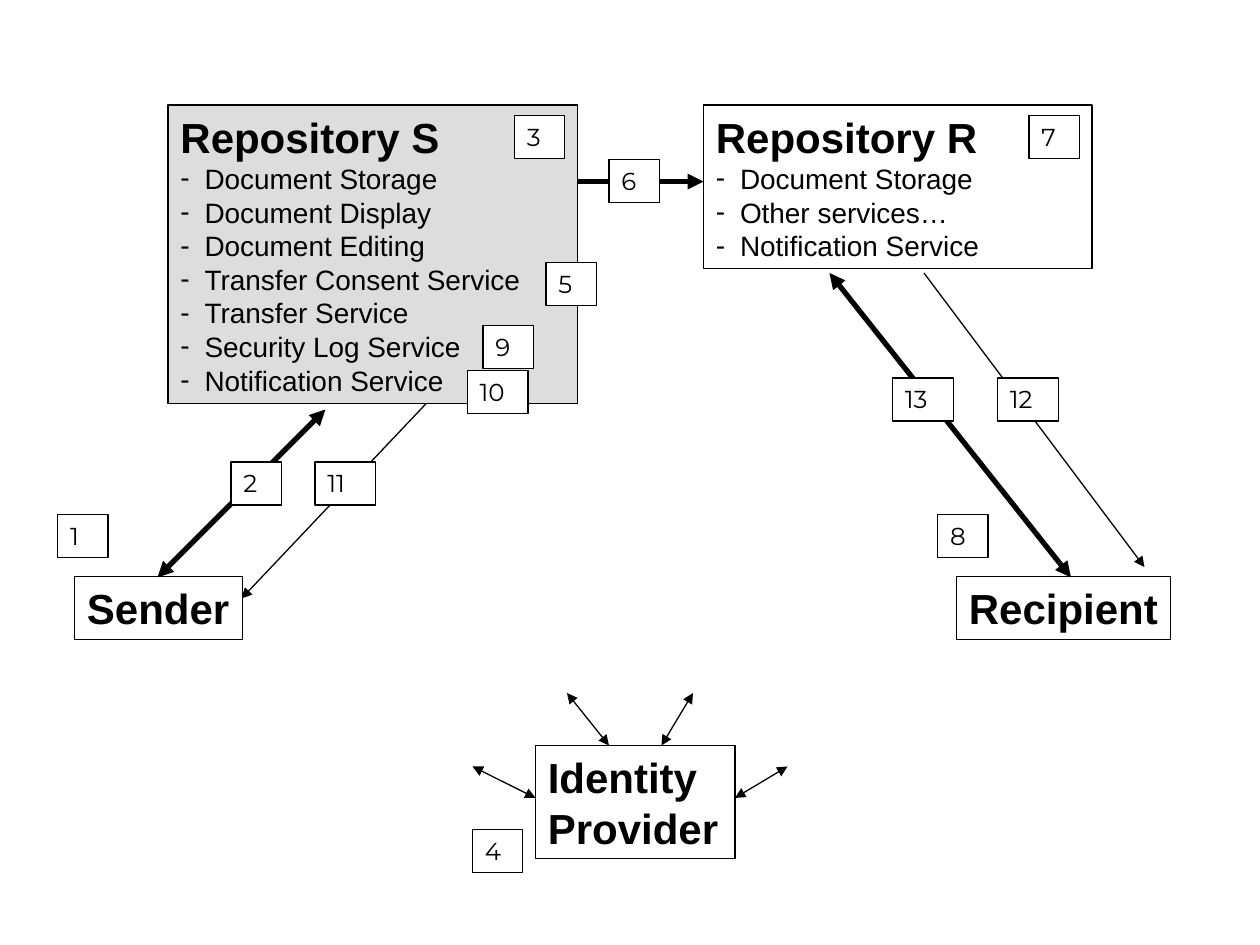
from typing import Any, NamedTuple

from lxml.etree import SubElement
from pptx import Presentation
from pptx.dml.color import RGBColor
from pptx.enum.shapes import MSO_CONNECTOR as Connector, MSO_SHAPE as Shape
from pptx.enum.text import MSO_ANCHOR as Anchor, MSO_AUTO_SIZE as AutoSize, PP_ALIGN as Align
from pptx.oxml.ns import qn
from pptx.util import Emu, Pt

PX = 7620
BLACK = RGBColor(0x00, 0x00, 0x00)
WHITE = RGBColor(0xFF, 0xFF, 0xFF)
GRAY = RGBColor(0xDD, 0xDD, 0xDD)

THIN, THICK = Pt(0.75), Pt(3)
INDENT = 23
BADGE_HEIGHT = 41
HEADING = {"name": "Arial", "size": Pt(24), "bold": True}
ITEM = {"name": "Arial", "size": Pt(16), "bold": False}
NUMBER = {"name": "Montserrat", "size": Pt(14), "bold": False}


class Box(NamedTuple):
    x: int
    y: int
    w: int
    h: int
    heading: str
    items: tuple[str, ...] = ()
    fill: RGBColor = WHITE
    wrap: bool = True
    font: dict[str, Any] = HEADING


class Link(NamedTuple):
    x1: int
    y1: int
    x2: int
    y2: int
    width: int = THIN
    two_way: bool = True


SENDER_NOTICE = Link(410, 380, 230, 570, two_way=False)

BOXES = [
    Box(911, 549, 204, 60, "Recipient", wrap=False),
    Box(71, 549, 160, 60, "Sender", wrap=False),
    Box(510, 710, 190, 108, "Identity Provider"),
    Box(160, 100, 390, 284, "Repository S",
        ("Document Storage", "Document Display", "Document Editing",
         "Transfer Consent Service", "Transfer Service",
         "Security Log Service", "Notification Service"), GRAY),
    Box(670, 100, 370, 156, "Repository R",
        ("Document Storage", "Other services…", "Notification Service")),
]

LINKS = [
    Link(150, 550, 310, 390, THICK),
    Link(1020, 550, 790, 260, THICK),
    Link(510, 760, 450, 730),
    Link(580, 710, 540, 660),
    Link(630, 710, 660, 660),
    Link(750, 730, 700, 760),
    Link(550, 173, 670, 173, THICK, False),
    Link(880, 260, 1090, 540, two_way=False),
]

BADGES = [
    (55, 490), (220, 440), (490, 110), (450, 790), (520, 250),
    (580, 152), (980, 110), (893, 490), (460, 310), (445, 353),
    (300, 440), (950, 360), (850, 360),
]


def px(n: int) -> Emu:
    return Emu(n * PX)


def set_attrs(target: Any, values: dict[str, Any]) -> None:
    for name, value in values.items():
        setattr(target, name, value)


def add_text(p: Any, text: str, font: dict[str, Any]) -> None:
    p.alignment = Align.LEFT
    r = p.add_run()
    r.text = text
    set_attrs(r.font, font)
    r.font.color.rgb = BLACK


def indent(p: Any) -> Any:
    pPr = p._p.get_or_add_pPr()
    pPr.set("marL", str(px(INDENT)))
    pPr.set("indent", str(-px(INDENT)))
    return pPr


def add_dash(p: Any) -> None:
    pPr = indent(p)
    color = SubElement(pPr, qn("a:buClr"))
    SubElement(color, qn("a:srgbClr"), val=str(BLACK))
    SubElement(pPr, qn("a:buFont"), typeface="Arial")
    SubElement(pPr, qn("a:buChar"), char="-")


def draw_box(slide: Any, box: Box) -> None:
    s = slide.shapes.add_shape(Shape.RECTANGLE, px(box.x), px(box.y), px(box.w), px(box.h))
    s.shadow.inherit = False
    s.fill.solid()
    s.fill.fore_color.rgb = box.fill
    s.line.color.rgb = BLACK
    s.line.width = THIN
    tf = s.text_frame
    set_attrs(tf, {
        "margin_left": px(12), "margin_right": px(12),
        "margin_top": px(6), "margin_bottom": px(6),
        "vertical_anchor": Anchor.TOP,
        "word_wrap": box.wrap,
        "auto_size": AutoSize.SHAPE_TO_FIT_TEXT,
    })
    p = tf.paragraphs[0]
    if box.items:
        indent(p)
    add_text(p, box.heading, box.font)
    for item in box.items:
        p = tf.add_paragraph()
        add_dash(p)
        add_text(p, item, ITEM)


def draw_link(slide: Any, link: Link) -> None:
    s = slide.shapes.add_connector(
        Connector.STRAIGHT, px(link.x1), px(link.y1), px(link.x2), px(link.y2))
    s.line.color.rgb = BLACK
    s.line.width = link.width
    ln = s.line._get_or_add_ln()
    for end in ("a:headEnd", "a:tailEnd") if link.two_way else ("a:tailEnd",):
        SubElement(ln, qn(end), type="triangle")
    SubElement(s._element.spPr, qn("a:effectLst"))


def main() -> None:
    prs = Presentation()
    prs.slide_width, prs.slide_height = px(1200), px(900)
    slide = prs.slides.add_slide(prs.slide_layouts[6])
    draw_link(slide, SENDER_NOTICE)
    for box in BOXES:
        draw_box(slide, box)
    for link in LINKS:
        draw_link(slide, link)
    for number, (x, y) in enumerate(BADGES, 1):
        width = 48 if number < 10 else 58
        draw_box(slide, Box(x, y, width, BADGE_HEIGHT, str(number), font=NUMBER))
    prs.save("out.pptx")


if __name__ == "__main__":
    main()
